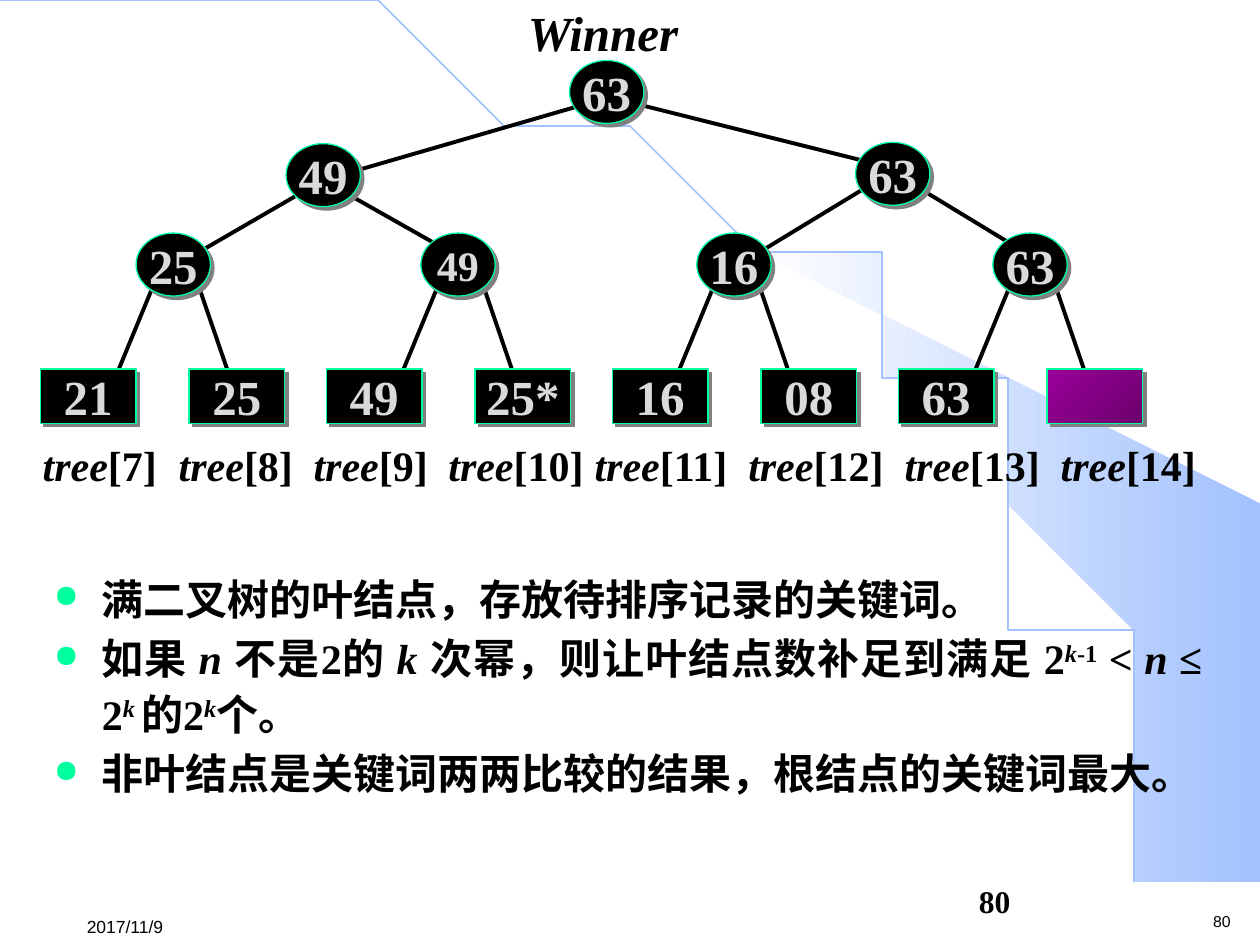
"""Build the winner tree slide."""
from math import cos, pi, sin
from typing import NamedTuple

from lxml.etree import SubElement as Sub
from pptx import Presentation
from pptx.dml.color import RGBColor
from pptx.enum.shapes import MSO_CONNECTOR as Link, MSO_SHAPE as Kind
from pptx.enum.text import MSO_ANCHOR as Anchor, PP_ALIGN as Align
from pptx.oxml.ns import qn
from pptx.util import Inches, Pt

SERIF, BLACK, MINT, BLUE = "Times New Roman", "000000", "00FF9F", "A2C1FE"


class Node(NamedTuple):
    text: str
    x: float
    y: float
    size: int = 28


class Edge(NamedTuple):
    x1: float
    y1: float
    x2: float
    y2: float


class Part(NamedTuple):
    text: str
    style: str = ""


def color(code: str) -> RGBColor:
    return RGBColor.from_string(code)


def write(shape, paras, *, size=24, font=SERIF, ink=BLACK, bold=True,
          align=Align.LEFT, anchor=Anchor.TOP, wrap=True, bullet=False, tabs=()):
    frame = shape.text_frame
    frame.word_wrap = wrap
    frame.vertical_anchor = anchor
    for i, parts in enumerate(paras):
        para = frame.add_paragraph() if i else frame.paragraphs[0]
        para.alignment = align
        props = para._p.get_or_add_pPr()
        if bullet:
            mark(props)
            para.line_spacing = 1.1
            para.space_before = Pt(2.4 if i else 0)
        if tabs:
            stops = Sub(props, qn("a:tabLst"))
            for stop in tabs:
                Sub(stops, qn("a:tab"), pos=str(Inches(stop)), algn="l")
        for part in parts:
            run = para.add_run()
            run.text = part.text
            run.font.name, run.font.size = font, Pt(size)
            run.font.bold, run.font.italic = bold, "i" in part.style
            run.font.color.rgb = color(ink)
            if "^" in part.style:
                run._r.get_or_add_rPr().set("baseline", "30000")


def mark(props) -> None:
    props.set("marL", str(Inches(0.38)))
    props.set("indent", str(Inches(-0.38)))
    Sub(Sub(props, qn("a:buClr")), qn("a:srgbClr"), val=MINT)
    Sub(props, qn("a:buSzPct"), val="75000")
    Sub(props, qn("a:buChar"), char="●")


def label(slide, paras, x: float, y: float, w: float, h: float, **style) -> None:
    box = slide.shapes.add_textbox(Inches(x), Inches(y), Inches(w), Inches(h))
    write(box, paras, **style)


def blend(shape, start: str, end: str, angle: int) -> None:
    shape.fill.gradient()
    shape.fill.gradient_angle = angle
    for stop, code, place in zip(shape.fill.gradient_stops, (start, end), (0, 1)):
        stop.color.rgb = color(code)
        stop.position = place


def outline(slide, points, closed: bool):
    pen = slide.shapes.build_freeform(*points[0], scale=Inches(1))
    pen.add_line_segments(points[1:], close=closed)
    shape = pen.convert_to_shape()
    shape.shadow.inherit = False
    return shape


def draw_edge(slide, edge: Edge) -> None:
    line = slide.shapes.add_connector(Link.STRAIGHT, *map(Inches, edge))
    line.line.color.rgb = color(BLACK)
    line.line.width = Pt(2.25)
    Sub(line._element.spPr, qn("a:effectLst"))


def draw_node(slide, node: Node, kind, w: float, h: float):
    shape = slide.shapes.add_shape(kind, *map(Inches, (node.x, node.y, w, h)))
    shape.fill.solid()
    shape.fill.fore_color.rgb = color(BLACK)
    shape.line.color.rgb = color(MINT)
    shape.line.width = Pt(0.75)
    shape.shadow.inherit = False
    effect = shape._element.spPr.find(qn("a:effectLst"))
    shade = Sub(effect, qn("a:outerShdw"), blurRad="0", dist=str(Pt(2.8)),
                dir="2700000", algn="ctr", rotWithShape="0")
    Sub(shade, qn("a:srgbClr"), val="808080")
    if node.text:
        write(shape, [[Part(node.text)]], size=node.size, ink="DADADA",
              align=Align.CENTER, anchor=Anchor.MIDDLE, wrap=False)
    return shape


def draw_back(slide) -> None:
    rim = [(9.2, 7.48), (9.99, 7.49), (9.99, 4.23), (5.89, 1.73), (6.24, 1.99),
           (6.53, 2.22), (6.85, 2.5), (7.16, 2.8), (7.62, 3.3), (8.03, 3.84),
           (8.32, 4.31), (8.58, 4.79), (8.78, 5.28), (8.93, 5.72), (9.03, 6.09),
           (9.13, 6.56), (9.17, 6.96)]
    wedge = outline(slide, rim, True)
    blend(wedge, "FFFFFF", BLUE, 0)
    wedge.line.fill.background()
    steps = 60
    turns = [pi / 2 * i / steps for i in range(steps + 1)]
    arc = outline(slide, [(9.2 * sin(t), 7.49 * (1 - cos(t))) for t in turns], False)
    arc.fill.background()
    arc.line.color.rgb = color(BLUE)
    arc.line.width = Pt(1)


def draw_tree(slide) -> None:
    low = [Node("25", 1.08, 1.85), Node("49", 3.34, 1.85, 24),
           Node("16", 5.53, 1.85), Node("63", 7.88, 1.85)]
    high = [Node("63", 4.52, 0.48), Node("49", 2.27, 1.14), Node("63", 6.79, 1.13)]
    edges = [Edge(5.11, 0.84, 6.87, 1.28), Edge(2.84, 1.35, 4.6, 0.84),
             Edge(6.87, 1.49, 6.03, 2), Edge(2.67, 1.49, 3.43, 1.92),
             Edge(7.29, 1.49, 8.13, 2), Edge(2.34, 1.56, 1.58, 2)]
    for node in low:
        edges.append(Edge(node.x + 0.16, 2.21, node.x - 0.17, 3.01))
        edges.append(Edge(node.x + 0.5, 2.28, node.x + 0.75, 3.01))
    for edge in edges:
        draw_edge(slide, edge)
    for node in high + low:
        draw_node(slide, node, Kind.OVAL, 0.59, 0.5)
    for i, text in enumerate(["21", "25", "49", "25*", "16", "08", "63", ""]):
        pair, side = divmod(i, 2)
        leaf = Node(text, 0.32 + 2.27 * pair + 1.18 * side, 2.93)
        shape = draw_node(slide, leaf, Kind.RECTANGLE, 0.76, 0.43)
        if not text:
            blend(shape, "990099", "6D006D", 315)
    label(slide, [[Part("Winner", "i")]], 4.09, -0.03, 1.51, 0.57, size=28)
    names = []
    for i in range(7, 15):
        names += [Part("\ttree" if i > 7 else "tree", "i"), Part(f"[{i}]")]
    label(slide, [names], 0.24, 3.44, 9.49, 0.5,
          tabs=(1.08, 2.15, 3.22, 4.38, 5.6, 6.84, 8.08))


def draw_notes(slide) -> None:
    power = [Part("如果 "), Part("n ", "i"), Part("不是2的 "), Part("k ", "i"),
             Part("次幂，则让叶结点数补足到满足 2"), Part("k", "i^"), Part("-1", "^"),
             Part(" < "), Part("n ", "i"), Part("≤ 2"), Part("k ", "i^"),
             Part("的2"), Part("k", "i^"), Part("个。")]
    paras = [[Part("满二叉树的叶结点，存放待排序记录的关键词。")], power,
             [Part("非叶结点是关键词两两比较的结果，根结点的关键词最大。")]]
    label(slide, paras, 0.33, 4.46, 9.31, 2.76, align=Align.JUSTIFY, bullet=True)


def main() -> None:
    deck = Presentation()
    deck.slide_width, deck.slide_height = Inches(10), Inches(7.5)
    slide = deck.slides.add_slide(deck.slide_layouts[6])
    draw_back(slide)
    label(slide, [[Part("80")]], 9.53, 7.19, 0.35, 0.25, size=9, font="Arial",
          bold=False, wrap=False)
    label(slide, [[Part("2017/11/9")]], 0.59, 7.2, 1.02, 0.3, size=10, font="Arial",
          bold=False, anchor=Anchor.MIDDLE)
    draw_notes(slide)
    draw_tree(slide)
    label(slide, [[Part("80")]], 7.67, 6.95, 2.33, 0.4, size=18)
    deck.save("out.pptx")


if __name__ == "__main__":
    main()
